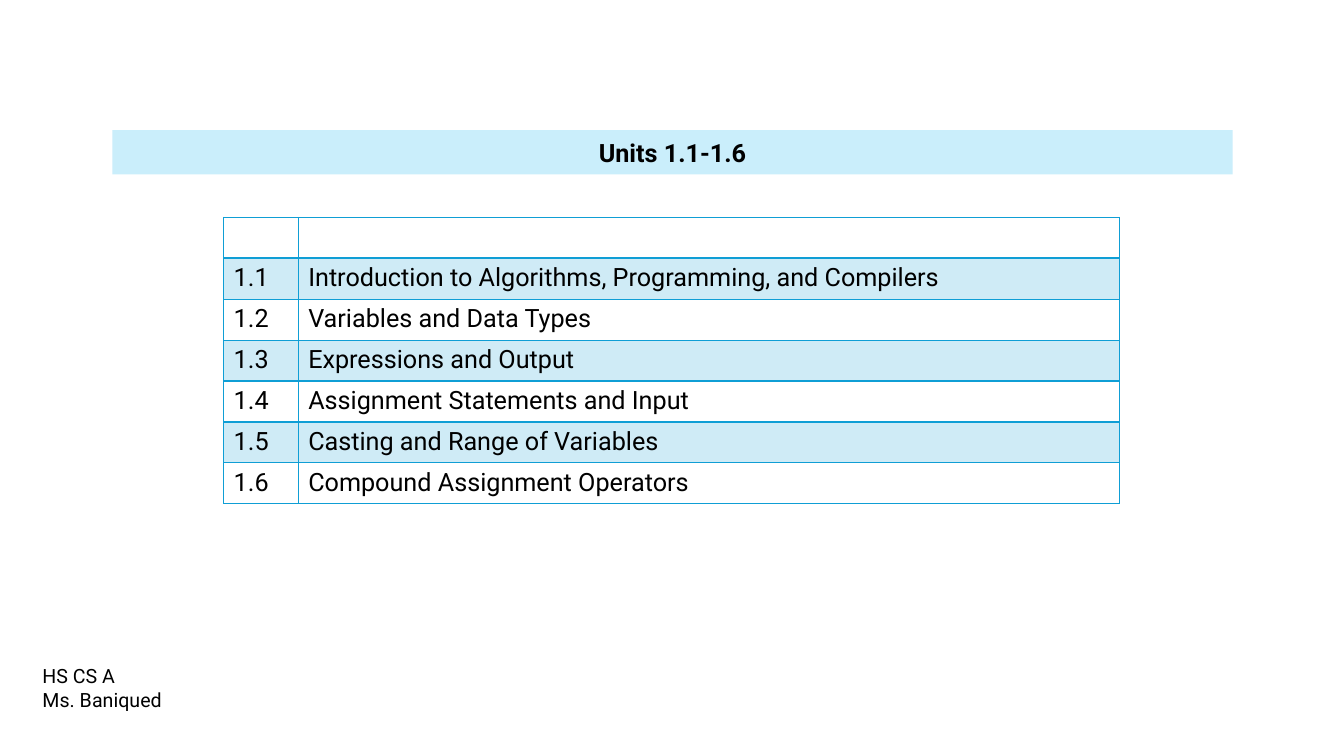
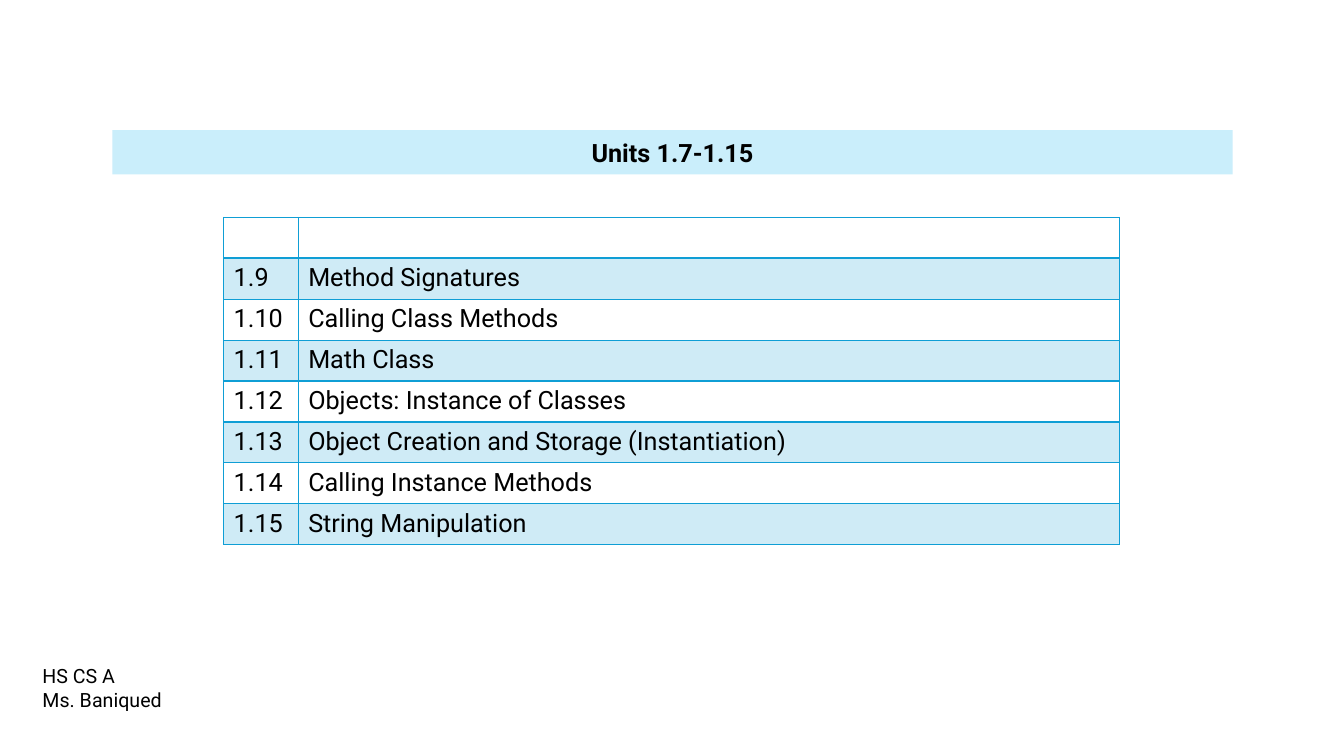
from lxml import etree
from pptx import Presentation
from pptx.dml.color import RGBColor
from pptx.enum.text import MSO_ANCHOR, MSO_AUTO_SIZE, PP_ALIGN
from pptx.oxml.ns import qn
from pptx.util import Pt

CENTER = PP_ALIGN.CENTER
MIDDLE = MSO_ANCHOR.MIDDLE
NO_FIT = MSO_AUTO_SIZE.NONE
GROW = MSO_AUTO_SIZE.SHAPE_TO_FIT_TEXT

PX = 9525
SLIDE_WIDTH, SLIDE_HEIGHT = 1280, 720
TITLE_BOX = (107, 124, 1067, 42)
FOOTER_BOX = (31, 628, 154, 55)
TABLE_LEFT, TABLE_TOP, ROW_HEIGHT = 213, 207, 39
COLUMN_WIDTHS = (71, 782)
TITLE_ONLY = 5

FONT = "Roboto"
BLACK = RGBColor(0x00, 0x00, 0x00)
PALE_BLUE = RGBColor(0xCA, 0xEE, 0xFB)
BLUE = RGBColor(0x0F, 0x9E, 0xD5)
STRIPE_OPACITY = 20
FOOTER = "HS CS A\nMs. Baniqued"

UNITS = [
    ("Units 1.1-1.6", [
        ("1.1", "Introduction to Algorithms, Programming, and Compilers"),
        ("1.2", "Variables and Data Types"),
        ("1.3", "Expressions and Output"),
        ("1.4", "Assignment Statements and Input"),
        ("1.5", "Casting and Range of Variables"),
        ("1.6", "Compound Assignment Operators"),
    ]),
    ("Units 1.7-1.15", [
        ("1.9", "Method Signatures"),
        ("1.10", "Calling Class Methods"),
        ("1.11", "Math Class"),
        ("1.12", "Objects: Instance of Classes"),
        ("1.13", "Object Creation and Storage (Instantiation)"),
        ("1.14", "Calling Instance Methods"),
        ("1.15", "String Manipulation"),
    ]),
]


def emu(*lengths):
    return [length * PX for length in lengths]


def write(frame, text, size, bold=False):
    frame.text = text
    for para in frame.paragraphs:
        for span in para.runs:
            span.font.name = FONT
            span.font.size = Pt(size)
            span.font.bold = bold
            span.font.color.rgb = BLACK


def add_title(page, text):
    title = page.shapes.title
    title.left, title.top, title.width, title.height = emu(*TITLE_BOX)
    title.fill.solid()
    title.fill.fore_color.rgb = PALE_BLUE
    frame = title.text_frame
    write(frame, text, 18, bold=True)
    frame.auto_size = NO_FIT
    frame.vertical_anchor = MIDDLE
    frame.paragraphs[0].alignment = CENTER


def add_footer(page):
    box = page.shapes.add_textbox(*emu(*FOOTER_BOX))
    box.text_frame.word_wrap = True
    box.text_frame.auto_size = GROW
    write(box.text_frame, FOOTER, 14)


def set_borders(cell, top, bottom):
    properties = cell._tc.get_or_add_tcPr()
    for side, width in (("L", 1), ("R", 1), ("T", top), ("B", bottom)):
        line = etree.SubElement(properties, qn(f"a:ln{side}"), w=str(Pt(width)))
        fill = etree.SubElement(line, qn("a:solidFill"))
        etree.SubElement(fill, qn("a:srgbClr"), val=str(BLUE))


def fill_cell(cell, striped):
    if not striped:
        cell.fill.background()
        return
    cell.fill.solid()
    cell.fill.fore_color.rgb = BLUE
    color = cell._tc.tcPr.find(qn("a:solidFill")).find(qn("a:srgbClr"))
    etree.SubElement(color, qn("a:alpha"), val=str(STRIPE_OPACITY * 1000))


def add_topics(page, topics):
    rows = [("", "")] + topics
    frame = page.shapes.add_table(
        len(rows), len(COLUMN_WIDTHS),
        *emu(TABLE_LEFT, TABLE_TOP, sum(COLUMN_WIDTHS), ROW_HEIGHT * len(rows)))
    table = frame.table
    table.first_row = False
    table.horz_banding = False
    for column, width in zip(table.columns, emu(*COLUMN_WIDTHS)):
        column.width = width
    for index, texts in enumerate(rows):
        table.rows[index].height = ROW_HEIGHT * PX
        for cell, text in zip(table.rows[index].cells, texts):
            write(cell.text_frame, text, 18)
            set_borders(cell, 2 if index == 1 else 1, 2 if index == 0 else 1)
            fill_cell(cell, index % 2 == 1)


def main():
    deck = Presentation()
    deck.slide_width, deck.slide_height = emu(SLIDE_WIDTH, SLIDE_HEIGHT)
    for title, topics in UNITS:
        page = deck.slides.add_slide(deck.slide_layouts[TITLE_ONLY])
        add_title(page, title)
        add_footer(page)
        add_topics(page, topics)
    deck.save("out.pptx")


if __name__ == "__main__":
    main()
